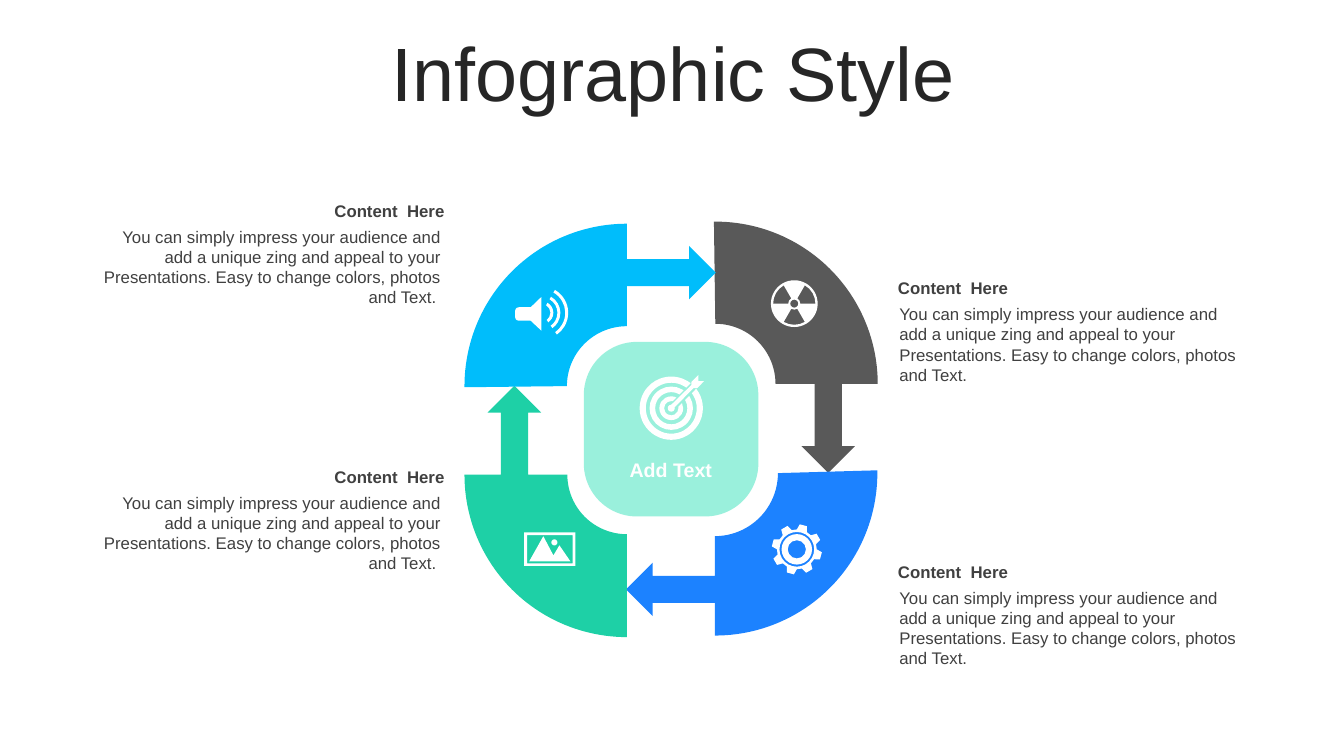
"""Builds a four-step cycle infographic slide with icons and captions."""
import math

import pptx
import pptx.dml.color
import pptx.enum.shapes
import pptx.enum.text
import pptx.oxml
import pptx.oxml.ns
import pptx.util

Pt = pptx.util.Pt
RGBColor = pptx.dml.color.RGBColor
ALIGN = pptx.enum.text.PP_ALIGN
ANCHOR = pptx.enum.text.MSO_ANCHOR
AUTO_SIZE = pptx.enum.text.MSO_AUTO_SIZE

TITLE_INK = RGBColor(0x26, 0x26, 0x26)
TEXT_INK = RGBColor(0x40, 0x40, 0x40)
WHITE = RGBColor(0xFF, 0xFF, 0xFF)
GREY = RGBColor(0x59, 0x59, 0x59)
BLUE = RGBColor(0x1C, 0x82, 0xFF)
GREEN = RGBColor(0x1E, 0xD0, 0xA6)
SKY = RGBColor(0x00, 0xBD, 0xFB)
MINT = RGBColor(0x70, 0xEA, 0xCE)

FONT = "Arial"
HEADING = "Content  Here"
BODY = ("You can simply impress your audience and add a unique zing and appeal "
        "to your Presentations. Easy to change colors, photos and Text.")

SECTORS = [
    ((511, 274.3), 0, -0.5, 80.6, 43, GREY),
    ((510.7, 338), 90, -1, 83, 45, BLUE),
    ((447.8, 339.1), 180, 0, 80.3, 42.5, GREEN),
    ((447.8, 275.8), 270, -0.4, 81, 42.8, SKY),
]
CAPTIONS = [
    (634.3, 195.1, ALIGN.LEFT, BODY),
    (634.3, 397.4, ALIGN.LEFT, BODY),
    (62.6, 139.7, ALIGN.RIGHT, BODY + " "),
    (62.6, 329.8, ALIGN.RIGHT, BODY + " "),
]


def polar(center, radius, angle):
    """Return the point at an angle in degrees, clockwise from the right."""
    turn = math.radians(angle)
    return center[0] + radius * math.cos(turn), center[1] + radius * math.sin(turn)


def arc(center, radius, start, end):
    """Return a start point and bends of at most a quarter turn: x, y, radius, start, sweep."""
    pieces = math.ceil(abs(end - start) / 90)
    sweep = (end - start) / pieces
    bends = [(*polar(center, radius, start + sweep * (i + 1)), radius, start + sweep * i, sweep)
             for i in range(pieces)]
    return [polar(center, radius, start)] + bends


def circle(center, radius):
    """Return the outline of a full circle."""
    return arc(center, radius, 0, 360)


def ring_slice(center, inner, outer, start, end):
    """Return the outline of a part of a ring."""
    return arc(center, outer, start, end) + arc(center, inner, end, start)


def split_ring(center, inner, outer, half_gap):
    """Return a ring cut open towards the upper right by an even gap."""
    inner_cut, outer_cut = (math.degrees(math.asin(half_gap / r)) for r in (inner, outer))
    return (arc(center, outer, outer_cut - 45, 315 - outer_cut)
            + arc(center, inner, 315 - inner_cut, inner_cut - 45))


def rectangle(left, top, right, bottom):
    """Return the corners of a rectangle."""
    return [(left, top), (right, top), (right, bottom), (left, bottom)]


def paint(shape, color):
    """Give a shape a plain fill without line or shadow."""
    shape.shadow.inherit = False
    shape.fill.solid()
    shape.fill.fore_color.rgb = color
    shape.line.fill.background()


def bend_line(line, radius, start, sweep):
    """Replace a straight segment with a circular arc."""
    bend = pptx.oxml.parse_xml("<a:arcTo %s/>" % pptx.oxml.ns.nsdecls("a"))
    for name in ("wR", "hR"):
        bend.set(name, str(int(Pt(radius))))
    bend.set("stAng", str(round(start % 360 * 60000)))
    bend.set("swAng", str(round(sweep * 60000)))
    line.getparent().replace(line, bend)


def add_outline(slide, contours, color):
    """Draw closed contours, given in points, as one freeform."""
    builder = None
    for contour in contours:
        corners = [(Pt(node[0]), Pt(node[1])) for node in contour]
        if builder is None:
            builder = slide.shapes.build_freeform(*corners[0], scale=1.0)
        else:
            builder.move_to(*corners[0])
        builder.add_line_segments(corners[1:], close=True)
    shape = builder.convert_to_shape()
    lines = list(shape.element.iter(pptx.oxml.ns.qn("a:lnTo")))
    nodes = [node for contour in contours for node in contour[1:]]
    for line, node in zip(lines, nodes):
        if len(node) > 2:
            bend_line(line, *node[2:])
    paint(shape, color)


def add_sector(slide, center, turn, lean, arrow, inner, color):
    """Draw a quarter ring whose arrow points to the next quarter."""
    base, tip, shaft, head = 44.4, 63.5, 9.7, 19.1
    cos, sin = math.cos(math.radians(turn)), math.sin(math.radians(turn))
    corners = [(arrow + shaft, 0), (arrow + shaft, base), (arrow + head, base),
               (arrow, tip), (arrow - head, base), (arrow - shaft, base),
               (arrow - shaft, 0)]
    pointer = [(center[0] + x * cos - y * sin, center[1] + x * sin + y * cos)
               for x, y in corners]
    contour = (arc(center, 116, turn + lean - 90, turn) + pointer
               + arc(center, inner, turn, turn - 90))
    add_outline(slide, [contour], color)


def add_hub(slide):
    """Draw the translucent rounded square in the middle."""
    hub = slide.shapes.add_shape(pptx.enum.shapes.MSO_SHAPE.ROUNDED_RECTANGLE,
                                 Pt(417), Pt(244.2), Pt(124.7), Pt(124.7))
    hub.adjustments[0] = 0.304
    paint(hub, MINT)
    tint = hub.element.spPr.find(".//" + pptx.oxml.ns.qn("a:srgbClr"))
    tint.append(pptx.oxml.parse_xml("<a:alpha %s val='70000'/>" % pptx.oxml.ns.nsdecls("a")))


def write(para, text, size, color, align, bold=False):
    """Put one formatted run into a paragraph."""
    para.alignment = align
    span = para.add_run()
    span.text = text
    span.font.name = FONT
    span.font.size = Pt(size)
    span.font.bold = bold
    span.font.color.rgb = color


def add_text(slide, left, top, width, height, text, size, color, align, bold=False):
    """Add a wrapping text box."""
    box = slide.shapes.add_textbox(Pt(left), Pt(top), Pt(width), Pt(height))
    box.text_frame.word_wrap = True
    box.text_frame.auto_size = AUTO_SIZE.SHAPE_TO_FIT_TEXT
    write(box.text_frame.paragraphs[0], text, size, color, align, bold)


def add_title(slide):
    """Place and fill the title placeholder."""
    title = slide.shapes.title
    title.left, title.top, title.width, title.height = Pt(25.2), Pt(26.6), Pt(911.5), Pt(56.9)
    frame = title.text_frame
    frame.word_wrap = True
    frame.auto_size = AUTO_SIZE.NONE
    frame.vertical_anchor = ANCHOR.MIDDLE
    para = frame.paragraphs[0]
    para.line_spacing = 0.9
    para.space_before = Pt(0)
    write(para, "Infographic Style", 54, TITLE_INK, ALIGN.CENTER)


def speaker():
    """Return the contours of the loudspeaker icon."""
    horn = [(386.7, 212.2), (386.7, 236.2), (379.1, 229.1)]
    horn += arc((370.6, 226.5), 2.6, 90, 180) + arc((370.6, 222.1), 2.6, 180, 270)
    horn += [(379.1, 219.5)]
    return [horn] + [ring_slice((387, 223.5), r - 2.1, r, -60, 55) for r in (8.3, 13.3, 18.9)]


def radiation():
    """Return the contours of the trefoil icon."""
    center = (567.4, 216.9)
    blades = [ring_slice(center, 4.3, 15.1, start, start + 60) for start in (60, 180, 300)]
    return [circle(center, 16.7), circle(center, 2.9)] + blades


def landscape():
    """Return the contours of the framed mountains icon."""
    mountains = [(388.1, 383), (395.3, 396.7), (399.6, 389.5), (407.5, 401), (378, 401)]
    return [rectangle(374.4, 380.2, 411, 404.2), rectangle(376.6, 382.3, 409, 402.4),
            mountains, circle((396, 387.4), 2.2)]


def target():
    """Return the contours of the target and dart icon."""
    center = (479.5, 291.6)
    rings = [split_ring(center, inner, outer, 2.8)
             for inner, outer in ((18.2, 22.6), (11.5, 15.5), (5.1, 8.5))]
    dart = [(498.9, 267.8), (498.9, 272.2), (502.9, 272.2), (498.2, 277.2), (495.4, 277.2)]
    dart += arc(center, 2.5, -15, 270) + [(493.9, 275), (493.9, 272.9)]
    return rings + [dart]


def gear():
    """Return the contours of the gear icon."""
    center = (569.2, 392.4)
    tooth = ((14.2, -15), (18, -8.3), (18, 8.3), (14.2, 15))
    rim = [polar(center, radius, middle + offset)
           for middle in range(-75, 285, 45) for radius, offset in tooth]
    return [rim] + [circle(center, radius) for radius in (12.4, 10.9, 6.5)]


def main():
    """Build and save the deck."""
    deck = pptx.Presentation()
    deck.slide_width, deck.slide_height = Pt(960), Pt(540)
    page = deck.slides.add_slide(deck.slide_layouts[5])
    add_title(page)
    for sector in SECTORS:
        add_sector(page, *sector)
    add_hub(page)
    add_text(page, 435.6, 323.3, 87.1, 24.5, "Add Text", 14, WHITE, ALIGN.CENTER, True)
    for left, top, align, body in CAPTIONS:
        add_text(page, left + 1, top + 18.5, 258.5, 65.5, body, 12, TEXT_INK, align)
        add_text(page, left, top, 262, 21.6, HEADING, 12, TEXT_INK, align, True)
    for icon in (speaker, radiation, landscape, target, gear):
        add_outline(page, icon(), WHITE)
    deck.save("out.pptx")


if __name__ == "__main__":
    main()
